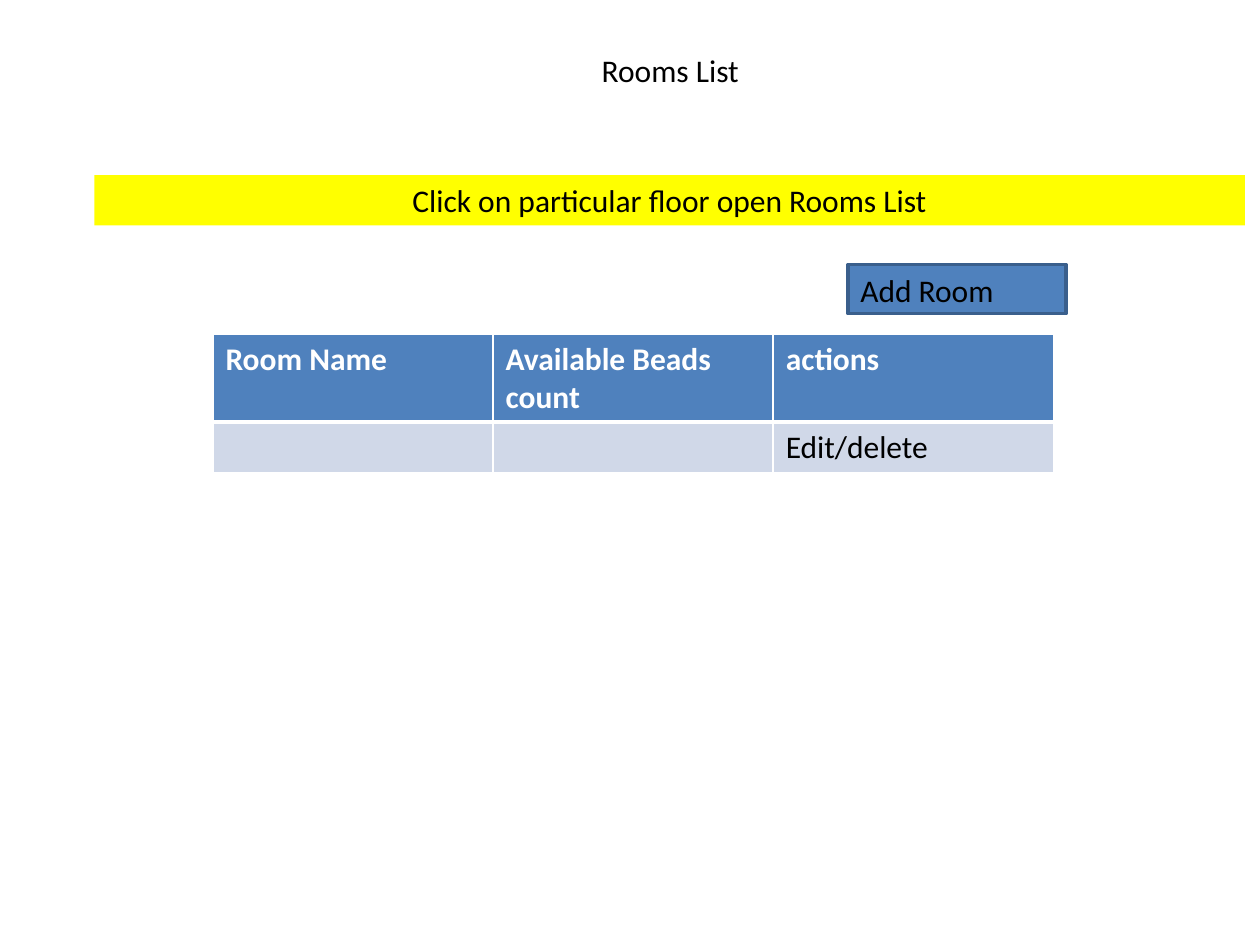
from dataclasses import dataclass

from pptx import Presentation
from pptx.dml.color import RGBColor as RGB
from pptx.enum.shapes import MSO_SHAPE as SHAPE
from pptx.enum.text import MSO_AUTO_SIZE as AUTO, PP_ALIGN as ALIGN
from pptx.oxml.ns import qn
from pptx.util import Inches, Pt
from lxml.etree import SubElement


@dataclass(frozen=True)
class Theme:
    font: str = "Calibri"
    size: int = 18
    text: str = "000000"
    white: str = "FFFFFF"
    notice: str = "FFFF00"
    accent: str = "4F81BD"
    outline: str = "3A5F8C"
    band: str = "D0D8E8"


class SlideBuilder:
    def __init__(self, slide, theme):
        self.slide = slide
        self.theme = theme

    def set_text(self, tf, text, align=ALIGN.LEFT, color=None, bold=False):
        p = tf.paragraphs[0]
        p.text = text
        p.alignment = align
        p.font.name = self.theme.font
        p.font.size = Pt(self.theme.size)
        p.font.bold = bold
        p.font.color.rgb = RGB.from_string(color or self.theme.text)

    def text(self, x, y, w, h, text, align=ALIGN.LEFT, fill=None):
        s = self.slide.shapes.add_textbox(Inches(x), Inches(y), Inches(w), Inches(h))
        if fill:
            s.fill.solid()
            s.fill.fore_color.rgb = RGB.from_string(fill)
        tf = s.text_frame
        tf.word_wrap = True
        tf.auto_size = AUTO.SHAPE_TO_FIT_TEXT
        self.set_text(tf, text, align)

    def box(self, x, y, w, h, fill, line):
        s = self.slide.shapes.add_shape(
            SHAPE.RECTANGLE, Inches(x), Inches(y), Inches(w), Inches(h))
        s.shadow.inherit = False
        s.fill.solid()
        s.fill.fore_color.rgb = RGB.from_string(fill)
        s.line.color.rgb = RGB.from_string(line)
        s.line.width = Pt(2)

    def borders(self, cell, **widths):
        tc_pr = cell._tc.get_or_add_tcPr()
        for side in "LRTB":
            ln = SubElement(tc_pr, qn(f"a:ln{side}"), w=str(Pt(widths.get(side, 1))))
            fill = SubElement(ln, qn("a:solidFill"))
            SubElement(fill, qn("a:srgbClr"), val=self.theme.white)

    def table(self, x, y, w, row_heights, rows):
        t = self.theme
        table = self.slide.shapes.add_table(
            len(rows), len(rows[0]), Inches(x), Inches(y),
            Inches(w), Inches(sum(row_heights))).table
        for i, (height, row) in enumerate(zip(row_heights, rows)):
            table.rows[i].height = Inches(height)
            header = i == 0
            for j, text in enumerate(row):
                cell = table.cell(i, j)
                self.borders(cell, **({"B": 3} if header else {"T": 3}))
                cell.fill.solid()
                cell.fill.fore_color.rgb = RGB.from_string(t.accent if header else t.band)
                self.set_text(cell.text_frame, text,
                              color=t.white if header else t.text, bold=header)


def main():
    prs = Presentation()
    prs.slide_width, prs.slide_height = Inches(10), Inches(7.5)
    theme = Theme()
    page = SlideBuilder(prs.slides.add_slide(prs.slide_layouts[6]), theme)

    # Title and notice bar
    page.text(1.46, 0.36, 7.72, 0.4, "Rooms List", ALIGN.CENTER)
    page.text(0.75, 1.39, 9.13, 0.4, "Click on particular floor open Rooms List",
              ALIGN.CENTER, theme.notice)

    # Rooms table
    page.table(1.69, 2.65, 6.67, (0.7, 0.4), [
        ("Room Name", "Available Beads count", "actions"),
        ("", "", "Edit/delete"),
    ])

    # Add button with its label
    page.box(6.73, 2.1, 1.73, 0.39, theme.accent, theme.outline)
    page.text(6.73, 2.1, 1.73, 0.4, "Add Room")

    prs.save("out.pptx")


if __name__ == "__main__":
    main()
